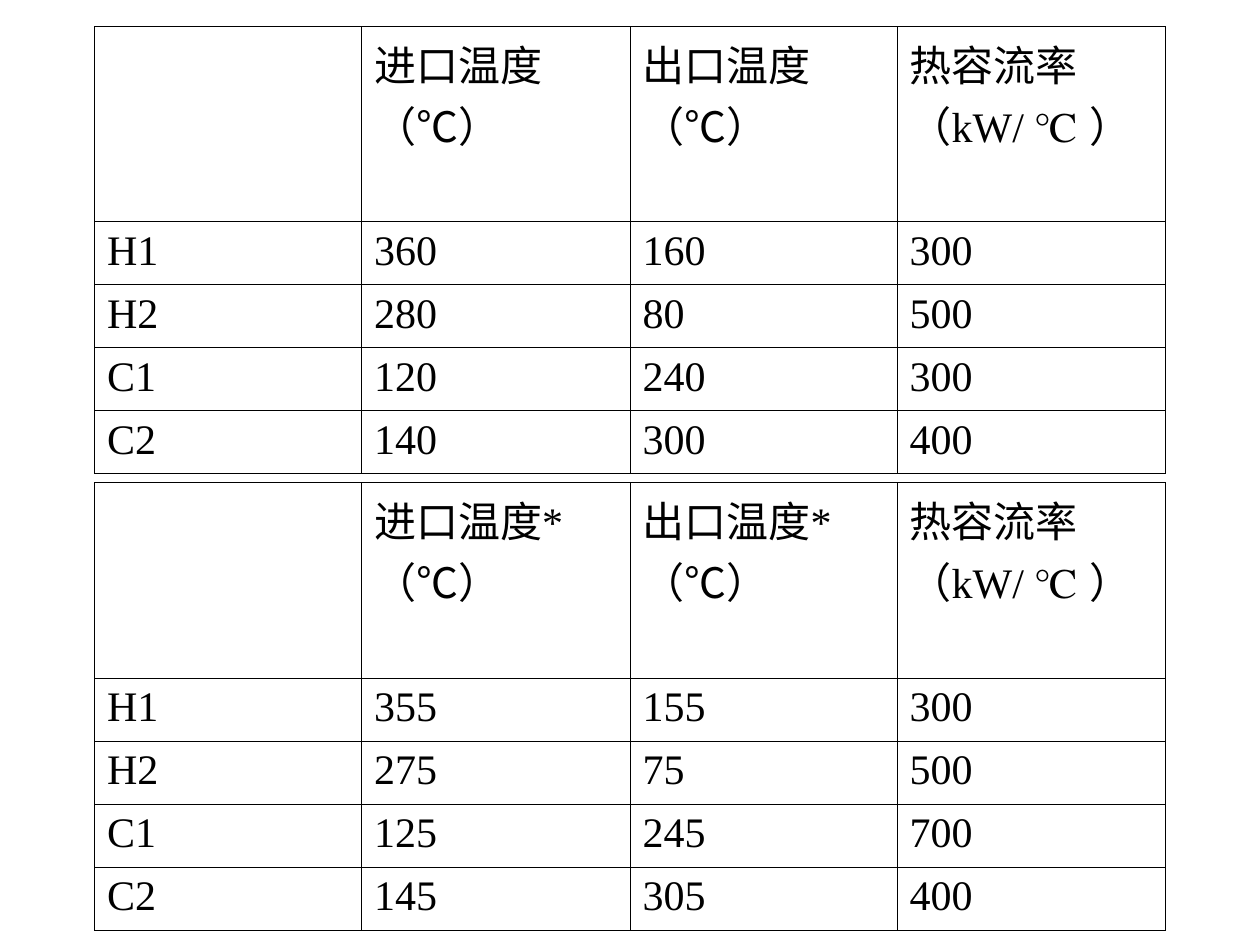
from lxml import etree
from pptx import Presentation
from pptx.dml.color import RGBColor
from pptx.oxml import ns
from pptx.util import Inches, Pt

COLORS = {"ink": "000000"}
FONT = "Times New Roman"
BORDER_WIDTH = Pt(0.45)
COLUMN_WIDTHS = (2.12, 2.13, 2.12, 2.13)
HEADER_HEIGHT, ROW_HEIGHT = 1, 0.5

ACTUAL_STREAMS = [
    ["", "进口温度（℃）", "出口温度（℃）", "热容流率（kW/ ℃ ）"],
    ["H1", "360", "160", "300"],
    ["H2", "280", "80", "500"],
    ["C1", "120", "240", "300"],
    ["C2", "140", "300", "400"],
]
SHIFTED_STREAMS = [
    ["", "进口温度*（℃）", "出口温度*（℃）", "热容流率（kW/ ℃ ）"],
    ["H1", "355", "155", "300"],
    ["H2", "275", "75", "500"],
    ["C1", "125", "245", "700"],
    ["C2", "145", "305", "400"],
]


def add_borders(cell):
    """Draw all four cell edges; must run after the fill is cleared."""
    properties = cell._tc.get_or_add_tcPr()
    for index, edge in enumerate(("lnL", "lnR", "lnT", "lnB")):
        line = etree.Element(ns.qn(f"a:{edge}"), w=str(int(BORDER_WIDTH)))
        fill = etree.SubElement(line, ns.qn("a:solidFill"))
        etree.SubElement(fill, ns.qn("a:srgbClr"), val=COLORS["ink"])
        properties.insert(index, line)


def write_cell(cell, wording):
    cell.fill.background()
    add_borders(cell)
    para = cell.text_frame.paragraphs[0]
    para.font.size = Pt(24)
    if wording:
        span = para.add_run()
        span.text = wording
        span.font.name = FONT
        span.font.size = Pt(24)
        span.font.bold = False
        span.font.color.rgb = RGBColor.from_string(COLORS["ink"])


def add_stream_table(page, left, top, rows):
    heights = [HEADER_HEIGHT] + [ROW_HEIGHT] * (len(rows) - 1)
    frame = page.shapes.add_table(
        len(rows), len(COLUMN_WIDTHS), Inches(left), Inches(top),
        Inches(sum(COLUMN_WIDTHS)), Inches(sum(heights)))
    table = frame.table
    table.first_row = table.horz_banding = False
    for column, width in zip(table.columns, COLUMN_WIDTHS):
        column.width = Inches(width)
    for row, height, wordings in zip(table.rows, heights, rows):
        row.height = Inches(height)
        for cell, wording in zip(row.cells, wordings):
            write_cell(cell, wording)


def main():
    deck = Presentation()
    deck.slide_width, deck.slide_height = Inches(10), Inches(7.5)
    page = deck.slides.add_slide(deck.slide_layouts[6])
    add_stream_table(page, 0.75, 0.21, ACTUAL_STREAMS)
    add_stream_table(page, 0.75, 3.83, SHIFTED_STREAMS)
    deck.save("out.pptx")


if __name__ == "__main__":
    main()
